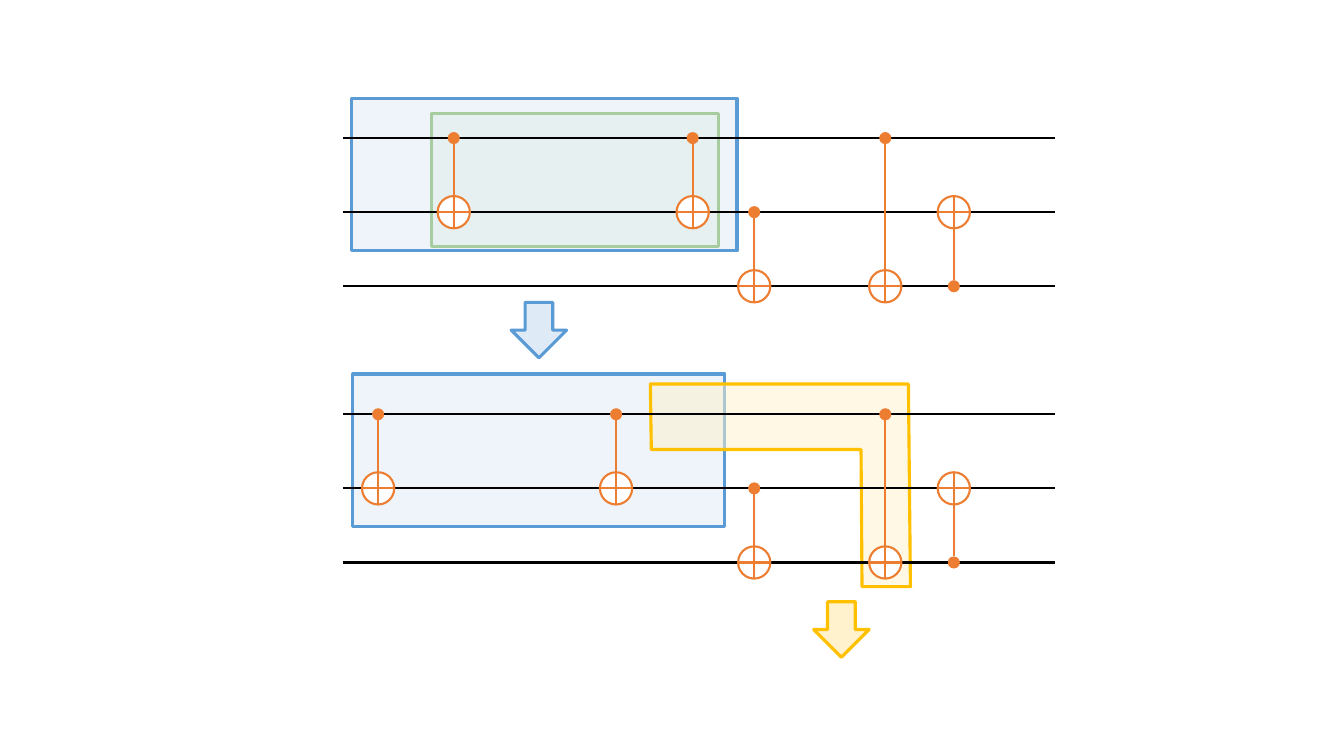
from lxml import etree
from pptx import Presentation
from pptx.dml.color import RGBColor
from pptx.enum.shapes import MSO_CONNECTOR, MSO_SHAPE
from pptx.oxml.ns import qn
from pptx.util import Inches, Pt

BLACK = RGBColor(0x00, 0x00, 0x00)
WHITE = RGBColor(0xFF, 0xFF, 0xFF)
ORANGE = RGBColor(0xED, 0x7D, 0x31)
BLUE = RGBColor(0x5B, 0x9B, 0xD5)
PALE_BLUE = RGBColor(0xDE, 0xEB, 0xF7)
GREEN = RGBColor(0x70, 0xAD, 0x47)
PALE_GREEN = RGBColor(0xE2, 0xF0, 0xD9)
GOLD = RGBColor(0xFF, 0xC0, 0x00)
PALE_GOLD = RGBColor(0xFF, 0xF2, 0xCC)

WIRE_LEFT, WIRE_RIGHT = 3.4, 10.46
WIRE_GAP = 0.735
TOPS = (1.37, 4.11)  # first wire of each circuit
TARGET, DOT = 0.32, 0.12  # diameters

prs = Presentation()
prs.slide_width, prs.slide_height = Inches(13.33), Inches(7.5)
shapes = prs.slides.add_slide(prs.slide_layouts[6]).shapes


def paint(s, fill, line=None, width=2.25, opacity=100):
    """Set fill and outline; opacity is a percentage for the fill only."""
    s.shadow.inherit = False
    s.fill.solid()
    s.fill.fore_color.rgb = fill
    if opacity < 100:
        color = s._element.spPr.find(qn("a:solidFill"))[0]
        etree.SubElement(color, qn("a:alpha"), val=str(opacity * 1000))
    if line is None:
        s.line.fill.background()
    else:
        s.line.color.rgb = line
        s.line.width = Pt(width)


def add_line(x1, y1, x2, y2, color):
    s = shapes.add_connector(MSO_CONNECTOR.STRAIGHT, *map(Inches, (x1, y1, x2, y2)))
    s.line.color.rgb = color
    s.line.width = Pt(1.5)
    etree.SubElement(s._element.spPr, qn("a:effectLst"))


# Highlighted regions, from back to front
lower_box = shapes.add_shape(MSO_SHAPE.RECTANGLE, *map(Inches, (3.5, 3.71, 3.69, 1.51)))
paint(lower_box, PALE_BLUE, BLUE, opacity=50)

corner = [(6.45, 3.81), (9.01, 3.81), (9.03, 5.82), (8.55, 5.82), (8.54, 4.46), (6.46, 4.46)]
points = [(Inches(x), Inches(y)) for x, y in corner]
builder = shapes.build_freeform(*points[0])
builder.add_line_segments(points[1:], close=True)
paint(builder.convert_to_shape(), PALE_GOLD, GOLD, opacity=50)

for box, fill, line in (
    ((4.28, 1.13, 2.85, 1.32), PALE_GREEN, GREEN),
    ((3.49, 0.98, 3.82, 1.51), PALE_BLUE, BLUE),
):
    s = shapes.add_shape(MSO_SHAPE.RECTANGLE, *map(Inches, box))
    paint(s, fill, line, opacity=50)

# Each gate: x, control wire, target wire
shared_gates = [(7.48, 1, 2), (8.78, 0, 2), (9.46, 2, 1)]
circuits = (
    [(4.5, 0, 1), (6.87, 0, 1)] + shared_gates,
    [(3.75, 0, 1), (6.11, 0, 1)] + shared_gates,
)
for top, gates in zip(TOPS, circuits):
    wires = [top + i * WIRE_GAP for i in range(3)]
    for y in wires:
        add_line(WIRE_LEFT, y, WIRE_RIGHT, y, BLACK)
    for x, control, target in gates:
        y_dot, y_target = wires[control], wires[target]
        down = 1 if target > control else -1
        add_line(x, y_dot + down * DOT / 2, x, y_target - down * TARGET / 2, ORANGE)
        for kind, y, size, fill, line in (
            (MSO_SHAPE.FLOWCHART_OR, y_target, TARGET, WHITE, ORANGE),
            (MSO_SHAPE.FLOWCHART_CONNECTOR, y_dot, DOT, ORANGE, None),
        ):
            s = shapes.add_shape(kind, Inches(x - size / 2), Inches(y - size / 2),
                                 Inches(size), Inches(size))
            paint(s, fill, line, 1.5)

# Step arrows
for x, y, fill, line in ((5.07, 3, PALE_BLUE, BLUE), (8.07, 5.97, PALE_GOLD, GOLD)):
    s = shapes.add_shape(MSO_SHAPE.RIGHT_ARROW, *map(Inches, (x, y, 0.55, 0.55)))
    s.rotation = 90
    paint(s, fill, line)

prs.save("out.pptx")
